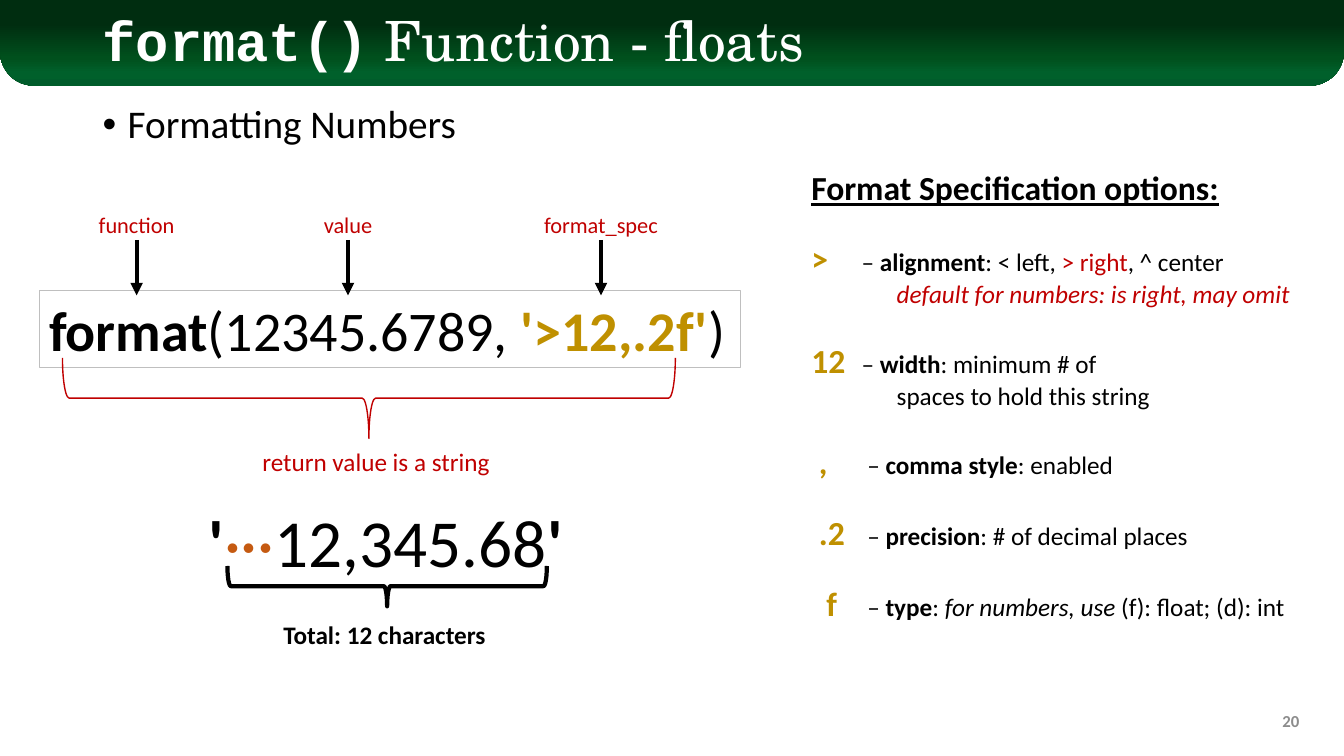
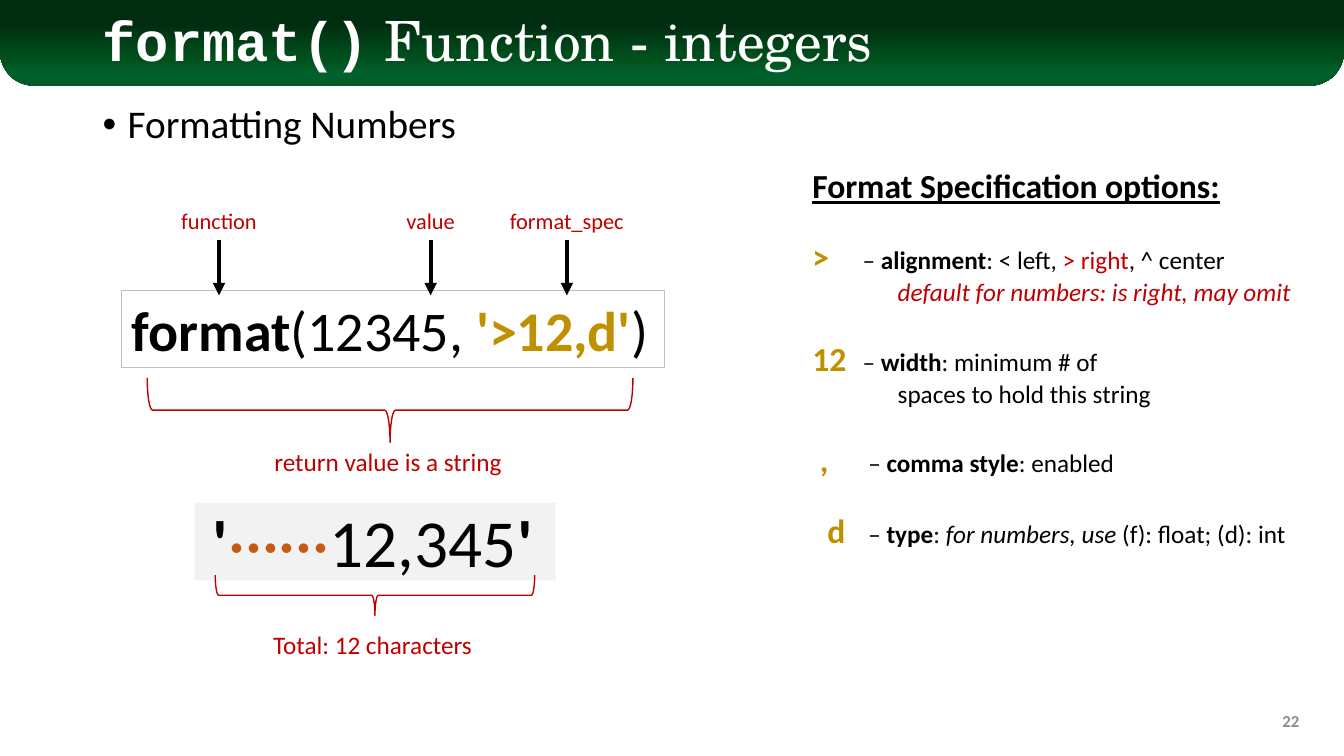
from lxml.etree import SubElement
from pptx import Presentation
from pptx.dml.color import RGBColor
from pptx.enum.shapes import MSO_CONNECTOR, MSO_SHAPE
from pptx.enum.text import MSO_ANCHOR, PP_ALIGN
from pptx.oxml.ns import qn
from pptx.util import Pt

BLACK = RGBColor(0x00, 0x00, 0x00)
WHITE = RGBColor(0xFF, 0xFF, 0xFF)
RED = RGBColor(0xC0, 0x00, 0x00)
GOLD = RGBColor(0xBF, 0x90, 0x00)
ORANGE = RGBColor(0xC5, 0x5A, 0x11)
PAGE_GRAY = RGBColor(0x8C, 0x8C, 0x8C)
BORDER_GRAY = RGBColor(0xBF, 0xBF, 0xBF)
PALE_GRAY = RGBColor(0xF2, 0xF2, 0xF2)
BAND_STOPS = [
    (28, RGBColor(0x00, 0x2D, 0x10)),
    (68, RGBColor(0x00, 0x50, 0x1D)),
    (85, RGBColor(0x00, 0x60, 0x2B)),
    (100, RGBColor(0x00, 0x5C, 0x2B)),
]


def write(paragraph, text, size=18, color=BLACK, font="Calibri",
          bold=False, italic=False, underline=False):
    """Append one formatted run to a paragraph."""
    run = paragraph.add_run()
    run.text = text
    run.font.name = font
    run.font.size = Pt(size)
    run.font.color.rgb = color
    run.font.bold = bold
    run.font.italic = italic
    run.font.underline = underline


def add_box(slide, left, top, width, height, align=PP_ALIGN.LEFT,
            anchor=MSO_ANCHOR.TOP, wrap=True):
    """Add an empty text box and return its first paragraph and its frame."""
    frame = slide.shapes.add_textbox(Pt(left), Pt(top), Pt(width), Pt(height)).text_frame
    frame.word_wrap = wrap
    frame.vertical_anchor = anchor
    frame.paragraphs[0].alignment = align
    return frame.paragraphs[0], frame


# Each option: symbol, symbol offset, dash offset, description runs, second line
ALIGNMENT = (">", 0, 36, [
    ("alignment", {"bold": True}), (": < left, ", {}),
    ("> right", {"color": RED}), (", ^ center", {}),
], ("default for numbers: is right, may omit", {"color": RED, "italic": True}))
WIDTH = ("12", 0, 36, [("width", {"bold": True}), (": minimum # of", {})],
         ("spaces to hold this string", {}))
COMMA = (",", 5.4, 40, [("comma style", {"bold": True}), (": enabled", {})], None)
PRECISION = (".2", 5.4, 40, [
    ("precision", {"bold": True}), (": # of decimal places", {})], None)
TYPE_RUNS = [("type", {"bold": True}), (": ", {}),
             ("for numbers, use ", {"italic": True}), ("(f): float; (d): int", {})]

# Labels are (text, centre x); braces are (centre x, centre y, depth, span, colour, weight)
LESSONS = [
    {
        "kind": "floats", "page": "20",
        "call": (28, 501), "value": "12345.6789", "spec": "'>12,.2f'",
        "labels": [("function", 97.6), ("value", 248.6), ("format_spec", 429.3)],
        "label_top": 147.6,
        "braces": [(263.5, 284.4, 57.6, 437.8, RED, 1),
                   (276.5, 418.7, 28.8, 228.2, BLACK, 3)],
        "returned_left": 179.3,
        "result": (141.8, 270.7), "padding": 3, "digits": "12,345.68", "backdrop": None,
        "total": (194.4, 438.5), "total_format": {"bold": True},
        "panel": (572.4, 115.9),
        "options": [ALIGNMENT, WIDTH, COMMA, PRECISION, ("f", 10.8, 40, TYPE_RUNS, None)],
    },
    {
        "kind": "integers", "page": "22",
        "call": (87.1, 387.4), "value": "12345", "spec": "'>12,d'",
        "labels": [("function", 156.4), ("value", 307.6), ("format_spec", 404.9)],
        "label_top": 144.7,
        "braces": [(278.6, 293, 46.1, 347, RED, 1),
                   (267.8, 425.2, 28.8, 228.2, RED, 1)],
        "returned_left": 187.9,
        "result": (144.7, 246.2), "padding": 6, "digits": "12,345",
        "backdrop": (139, 359.3, 257.8, 55.4),
        "total": (185.8, 445.7), "total_format": {"color": RED},
        "panel": (573.1, 114.5),
        "options": [ALIGNMENT, WIDTH, COMMA, ("d", 10.8, 40, TYPE_RUNS, None)],
    },
]

deck = Presentation()
deck.slide_width = Pt(960)
deck.slide_height = Pt(540)

for lesson in LESSONS:
    slide = deck.slides.add_slide(deck.slide_layouts[6])

    # Title band, title, topic and page number
    band = slide.shapes.add_shape(MSO_SHAPE.ROUND_2_SAME_RECTANGLE, 0, 0, Pt(960), Pt(61.2))
    band.shadow.inherit = False
    band.adjustments[0] = 0
    band.adjustments[1] = 0.4
    band.line.fill.background()
    band.fill.gradient()
    band.fill.gradient_angle = 270
    stops = band.element.spPr.find(qn("a:gradFill")).find(qn("a:gsLst"))
    for stop in list(stops):
        stops.remove(stop)
    for percent, color in [(0, BAND_STOPS[0][1])] + BAND_STOPS:
        stop = SubElement(stops, qn("a:gs"), pos=str(percent * 1000))
        SubElement(stop, qn("a:srgbClr"), val=str(color))

    title, _ = add_box(slide, 66.2, 9.4, 828, 43.9, anchor=MSO_ANCHOR.MIDDLE)
    title.line_spacing = 0.9
    write(title, "format()", size=39.6, color=WHITE, font="Courier New", bold=True)
    write(title, f" Function - {lesson['kind']}", size=39.6, color=WHITE,
          font="TeX Gyre Schola")

    topic, _ = add_box(slide, 66.2, 71.3, 828, 50)
    topic.line_spacing = 0.9
    topic.space_before = Pt(10)
    topic_format = topic._p.get_or_add_pPr()
    topic_format.set("marL", str(Pt(18)))
    topic_format.set("indent", str(-Pt(18)))
    SubElement(topic_format, qn("a:buFont"), typeface="Arial")
    SubElement(topic_format, qn("a:buChar"), char="\u2022")
    write(topic, "Formatting Numbers", size=28)

    page, _ = add_box(slide, 719.3, 500.4, 216, 28.8, PP_ALIGN.RIGHT, MSO_ANCHOR.MIDDLE)
    write(page, lesson["page"], size=12, color=PAGE_GRAY, bold=True)

    # Function call with its labelled parts
    call_left, call_width = lesson["call"]
    call_box = slide.shapes.add_shape(
        MSO_SHAPE.RECTANGLE, Pt(call_left), Pt(207.4), Pt(call_width), Pt(55.4))
    call_box.shadow.inherit = False
    call_box.fill.background()
    call_box.line.color.rgb = BORDER_GRAY
    call_box.line.width = Pt(0.75)
    call_box.text_frame.word_wrap = True
    call_box.text_frame.vertical_anchor = MSO_ANCHOR.TOP
    call = call_box.text_frame.paragraphs[0]
    call.alignment = PP_ALIGN.LEFT
    write(call, "format", size=40, bold=True)
    write(call, f"({lesson['value']}, ", size=40)
    write(call, lesson["spec"], size=40, color=GOLD, bold=True)
    write(call, ")", size=40)

    for name, center in lesson["labels"]:
        label, _ = add_box(slide, center - 50, lesson["label_top"], 100, 26.6,
                           PP_ALIGN.CENTER, wrap=False)
        write(label, name, size=16, color=RED)
        arrow = slide.shapes.add_connector(
            MSO_CONNECTOR.STRAIGHT, Pt(center), Pt(171.4), Pt(center), Pt(211))
        arrow.line.color.rgb = BLACK
        arrow.line.width = Pt(3)
        SubElement(arrow.line._get_or_add_ln(), qn("a:tailEnd"), type="triangle")
        SubElement(arrow.element.spPr, qn("a:effectLst"))

    # Returned string and its length
    returned, _ = add_box(slide, lesson["returned_left"], 315.4, 178.6, 28.8,
                          PP_ALIGN.CENTER, wrap=False)
    write(returned, "return value is a string", color=RED)

    if lesson["backdrop"]:
        backdrop = slide.shapes.add_shape(
            MSO_SHAPE.RECTANGLE, *[Pt(length) for length in lesson["backdrop"]])
        backdrop.shadow.inherit = False
        backdrop.fill.solid()
        backdrop.fill.fore_color.rgb = PALE_GRAY
        backdrop.line.fill.background()

    result_left, result_width = lesson["result"]
    result, _ = add_box(slide, result_left, 353.5, result_width, 65.5)
    write(result, "'", size=48, bold=True)
    write(result, "\u0387" * lesson["padding"], size=48, color=ORANGE)
    write(result, lesson["digits"], size=48)
    write(result, "'", size=48, bold=True)

    total_left, total_top = lesson["total"]
    total, _ = add_box(slide, total_left, total_top, 160.6, 28.8,
                       PP_ALIGN.CENTER, wrap=False)
    write(total, "Total: 12 characters", **lesson["total_format"])

    for center_x, center_y, depth, span, color, weight in lesson["braces"]:
        brace = slide.shapes.add_shape(
            MSO_SHAPE.RIGHT_BRACE, Pt(center_x - depth / 2), Pt(center_y - span / 2),
            Pt(depth), Pt(span))
        brace.rotation = 90
        brace.shadow.inherit = False
        brace.fill.background()
        brace.line.color.rgb = color
        brace.line.width = Pt(weight)

    # Format specification options
    heading, panel = add_box(slide, *lesson["panel"], 378, 320)
    write(heading, "Format Specification options:", size=24, bold=True, underline=True)
    for symbol, symbol_offset, dash_offset, description, second_line in lesson["options"]:
        option = panel.add_paragraph()
        option.space_before = Pt(22)
        tabs = SubElement(option._p.get_or_add_pPr(), qn("a:tabLst"))
        for offset in filter(None, (symbol_offset, dash_offset)):
            SubElement(tabs, qn("a:tab"), pos=str(Pt(offset)), algn="l")
        lead = "\t" if symbol_offset else ""
        write(option, lead + symbol, size=24, color=GOLD, bold=True)
        write(option, "\t\u2013 ")
        for text, text_format in description:
            write(option, text, **text_format)
        if second_line:
            continuation = panel.add_paragraph()
            continuation._p.get_or_add_pPr().set("marL", str(Pt(61)))
            write(continuation, second_line[0], **second_line[1])

deck.save("out.pptx")
